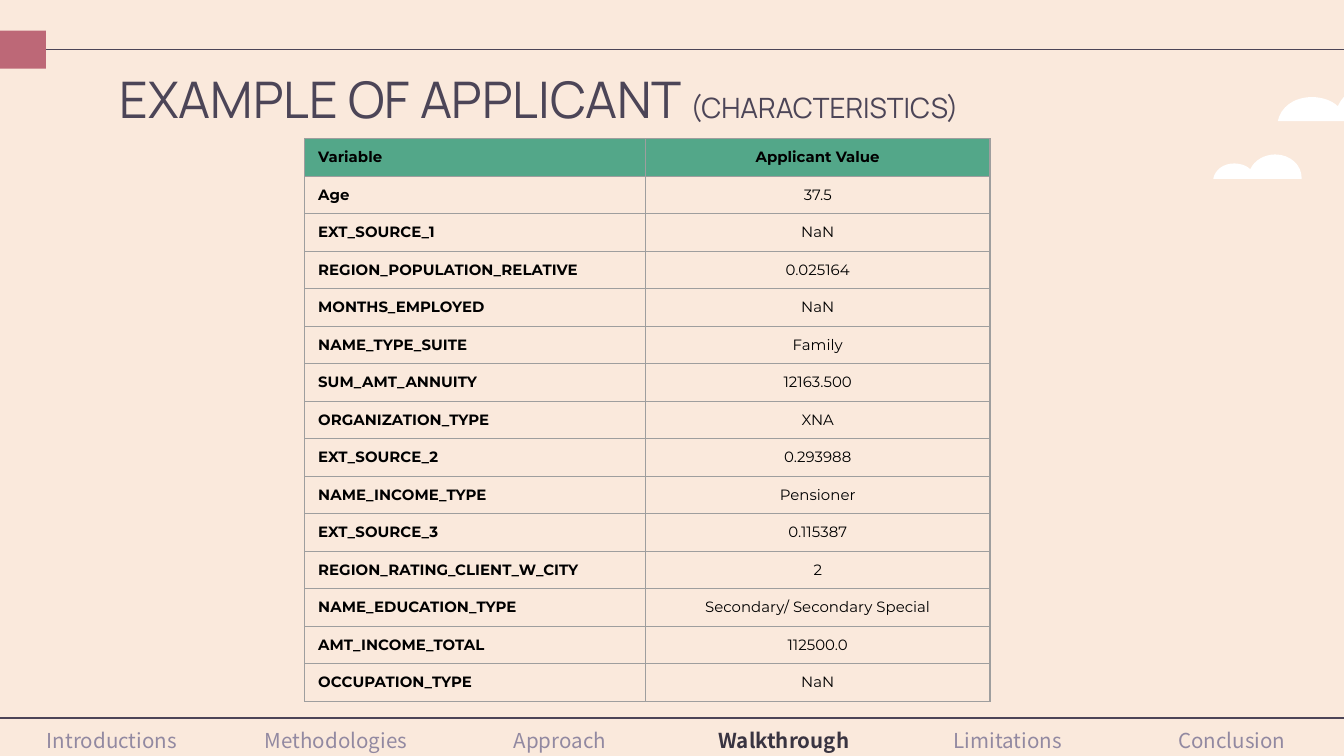
import pptx
import pptx.dml.color
import pptx.enum.shapes
import pptx.enum.text
import pptx.oxml
import pptx.oxml.ns
import pptx.util
from pptx.util import Cm

COLORS = {
    "background": "FAE9DC",
    "cloud": "FFFFFF",
    "ink": "4C4557",
    "accent": "BD6877",
    "header": "53A789",
    "grid": "9E9E9E",
    "text": "000000",
    "section": "9289A1",
    "section_rule": "4C4457",
    "current": "393441",
}
RGB = {name: pptx.dml.color.RGBColor.from_string(value) for name, value in COLORS.items()}

SECTIONS = ["Introductions", "Methodologies", "Approach", "Walkthrough", "Limitations", "Conclusion"]
CURRENT_SECTION = "Walkthrough"
APPLICANT = [
    ("Variable", "Applicant Value"),
    ("Age", "37.5"),
    ("EXT_SOURCE_1", "NaN"),
    ("REGION_POPULATION_RELATIVE", "0.025164"),
    ("MONTHS_EMPLOYED", "NaN"),
    ("NAME_TYPE_SUITE", "Family"),
    ("SUM_AMT_ANNUITY", "12163.500"),
    ("ORGANIZATION_TYPE", "XNA"),
    ("EXT_SOURCE_2", "0.293988"),
    ("NAME_INCOME_TYPE", "Pensioner"),
    ("EXT_SOURCE_3", "0.115387"),
    ("REGION_RATING_CLIENT_W_CITY", "2"),
    ("NAME_EDUCATION_TYPE", "Secondary/ Secondary Special"),
    ("AMT_INCOME_TOTAL", "112500.0"),
    ("OCCUPATION_TYPE", "NaN"),
]


def set_borders(cell, color, points, sides):
    """Draw the given sides of a cell (letters of LRTB) and clear the others."""
    properties = cell._tc.get_or_add_tcPr()
    for position, side in enumerate("LRTB"):
        paint = f'<a:solidFill><a:srgbClr val="{color}"/></a:solidFill>' if side in sides else "<a:noFill/>"
        properties.insert(position, pptx.oxml.parse_xml(
            f'<a:ln{side} {pptx.oxml.ns.nsdecls("a")} w="{pptx.util.Pt(points)}">{paint}</a:ln{side}>'))


def fill_cell(cell, text, font_name, size, color, bold, centered):
    cell.fill.background()
    paragraph = cell.text_frame.paragraphs[0]
    paragraph.text = text
    if centered:
        paragraph.alignment = pptx.enum.text.PP_ALIGN.CENTER
    font = paragraph.font
    font.name, font.size, font.bold = font_name, pptx.util.Pt(size), bold
    font.color.rgb = RGB[color]


presentation = pptx.Presentation()
presentation.slide_width, presentation.slide_height = Cm(25.4), Cm(14.29)
slide = presentation.slides.add_slide(presentation.slide_layouts[5])
slide.background.fill.solid()
slide.background.fill.fore_color.rgb = RGB["background"]
shapes = slide.shapes

# Clouds: from the right end of the base, three points for each Bezier curve
CLOUD_START = (1, 1)
CLOUD_CURVES = [
    (1, 0.98), (1, 0.97), (1, 0.96),
    (1, 0.43), (0.87, 0), (0.7, 0),
    (0.58, 0), (0.46, 0.25), (0.42, 0.61),
    (0.38, 0.46), (0.31, 0.37), (0.24, 0.37),
    (0.11, 0.37), (0.02, 0.64), (0, 1),
]
for left, top, width, height in [(22.93, 2.92, 1.67, 0.46), (24.15, 1.57, 2.7, 0.72)]:
    start, *curve_points = [(Cm(left + x * width), Cm(top + y * height))
                            for x, y in [CLOUD_START, *CLOUD_CURVES]]
    builder = shapes.build_freeform(*start)
    builder.add_line_segments(curve_points)
    cloud = builder.convert_to_shape()
    # Turn each three straight segments into one curve
    segments = list(cloud._element.iter(pptx.oxml.ns.qn("a:lnTo")))[:len(CLOUD_CURVES)]
    for first in range(0, len(segments), 3):
        curve = pptx.oxml.parse_xml(f'<a:cubicBezTo {pptx.oxml.ns.nsdecls("a")}/>')
        segments[first].addprevious(curve)
        for segment in segments[first:first + 3]:
            curve.append(segment[0])
            segment.getparent().remove(segment)
    cloud.shadow.inherit = False
    cloud.fill.solid()
    cloud.fill.fore_color.rgb = RGB["cloud"]
    cloud.line.fill.background()

# Top rule and its square
rule = shapes.add_connector(pptx.enum.shapes.MSO_CONNECTOR.STRAIGHT, 0, Cm(0.93), Cm(25.4), Cm(0.93))
rule.line.color.rgb = RGB["ink"]
rule.line.width = pptx.util.Pt(0.75)
rule._element.spPr.append(pptx.oxml.parse_xml(f'<a:effectLst {pptx.oxml.ns.nsdecls("a")}/>'))

marker = shapes.add_shape(pptx.enum.shapes.MSO_SHAPE.RECTANGLE, 0, Cm(0.58), Cm(0.87), Cm(0.72))
marker.shadow.inherit = False
marker.fill.solid()
marker.fill.fore_color.rgb = RGB["accent"]
marker.line.fill.background()

# Section bar
bar = shapes.add_table(1, len(SECTIONS), 0, Cm(13.57), Cm(25.4), Cm(0.71)).table
bar.first_row = bar.horz_banding = False
for cell, section in zip(bar.iter_cells(), SECTIONS):
    is_current = section == CURRENT_SECTION
    fill_cell(cell, section, "Noto Sans CJK JP", 11, "current" if is_current else "section", is_current, True)
    cell.margin_bottom = 0
    set_borders(cell, COLORS["section_rule"], 1, "T")

# Title
title = shapes.title
title.left, title.top, title.width, title.height = Cm(2.01), Cm(1.04), Cm(21.41), Cm(1.6)
frame = title.text_frame
frame.auto_size = pptx.enum.text.MSO_AUTO_SIZE.NONE
frame.vertical_anchor = pptx.enum.text.MSO_ANCHOR.TOP
frame.margin_left = frame.margin_right = frame.margin_top = frame.margin_bottom = Cm(0.25)
heading = frame.paragraphs[0]
heading.alignment = pptx.enum.text.PP_ALIGN.LEFT
heading.font.name = "Manrope"
heading.font.color.rgb = RGB["ink"]
for words, size in [("EXAMPLE OF APPLICANT ", 27), ("(CHARACTERISTICS)", 15)]:
    run = heading.add_run()
    run.text = words
    run.font.size = pptx.util.Pt(size)

# Applicant values
values = shapes.add_table(len(APPLICANT), 2, Cm(5.76), Cm(2.62), Cm(12.95), Cm(10.64)).table
values.first_row = values.horz_banding = False
values.columns[0].width, values.columns[1].width = Cm(6.44), Cm(6.51)
for row, entry in enumerate(APPLICANT):
    for column, text in enumerate(entry):
        cell = values.cell(row, column)
        is_header = row == 0
        fill_cell(cell, text, "Montserrat", 8, "text", is_header or column == 0, column == 1)
        cell.vertical_anchor = pptx.enum.text.MSO_ANCHOR.MIDDLE
        if is_header:
            cell.fill.solid()
            cell.fill.fore_color.rgb = RGB["header"]
        set_borders(cell, COLORS["grid"], 0.75, "LRTB")

presentation.save("out.pptx")
